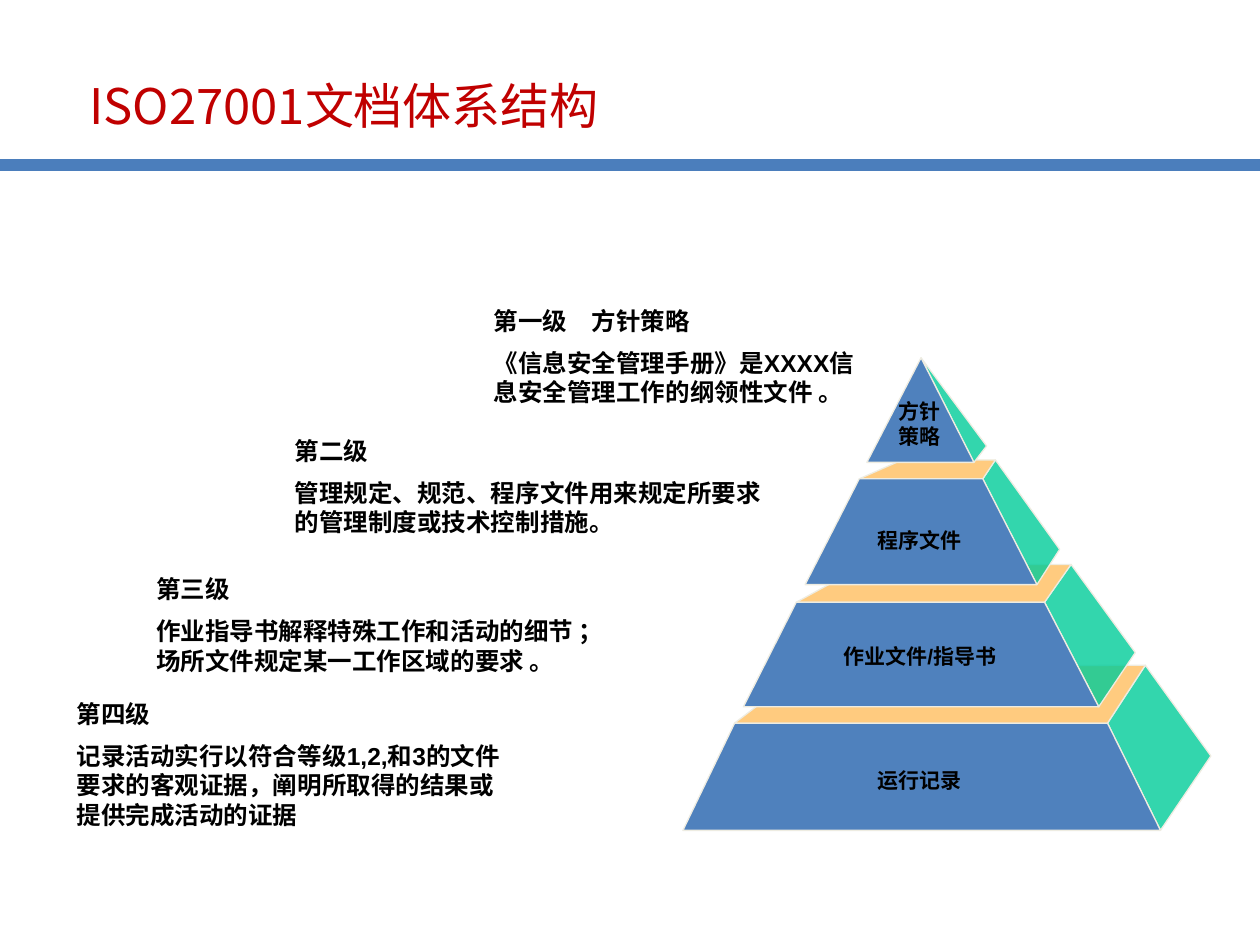
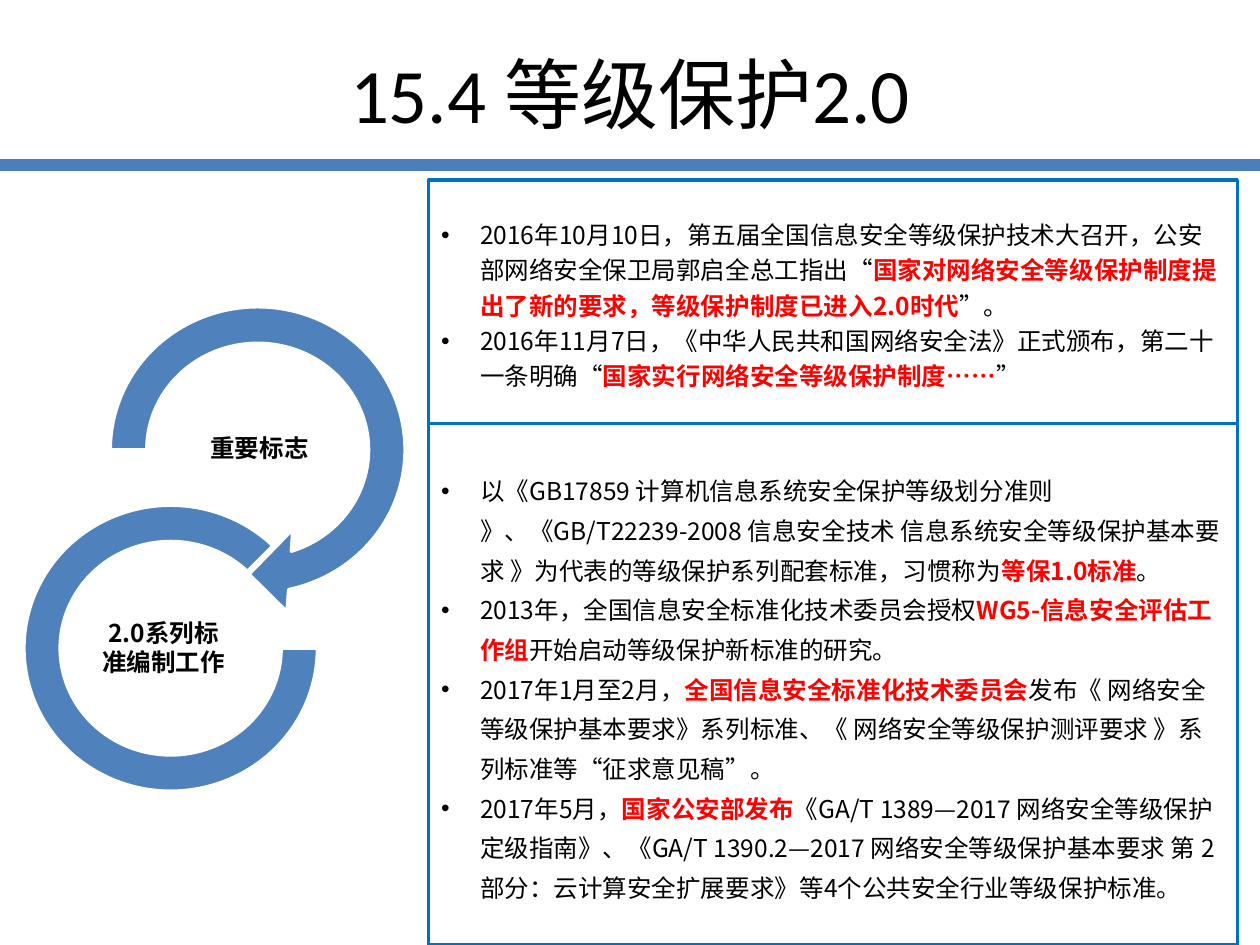
from dataclasses import dataclass

from lxml.etree import SubElement
from pptx import Presentation
from pptx.dml.color import RGBColor
from pptx.enum.shapes import MSO_CONNECTOR, MSO_SHAPE
from pptx.enum.text import MSO_ANCHOR, MSO_AUTO_SIZE, PP_ALIGN
from pptx.oxml.ns import qn
from pptx.shapes.autoshape import Shape
from pptx.slide import Slide
from pptx.text.text import TextFrame, _Run
from pptx.util import Pt

PX = 9144
PAGE_WIDTH, PAGE_HEIGHT = 1000, 750
BAND_Y = 131

BLACK = RGBColor(0x00, 0x00, 0x00)
WHITE = RGBColor(0xFF, 0xFF, 0xFF)
BAND_BLUE = RGBColor(0x4B, 0x7E, 0xBC)
FRONT_BLUE = RGBColor(0x4F, 0x81, 0xBD)
FRAME_BLUE = RGBColor(0x00, 0x70, 0xC0)
SIDE_GREEN = RGBColor(0x00, 0xCC, 0x99)
LID_ORANGE = RGBColor(0xFF, 0x99, 0x00)
EDGE_CREAM = RGBColor(0xEE, 0xEC, 0xE1)
TITLE_RED = RGBColor(0xC0, 0x00, 0x00)
HIGHLIGHT_RED = RGBColor(0xFF, 0x00, 0x00)

HAN_FONT = "Noto Sans CJK SC"
LATIN_FONT = "Arial"
TITLE_FONT = "Calibri"

Point = tuple[int, int]


@dataclass(frozen=True)
class Area:
    left: int
    top: int
    width: int
    height: int

    def emu(self) -> tuple[int, int, int, int]:
        return self.left * PX, self.top * PX, self.width * PX, self.height * PX


@dataclass(frozen=True)
class TextStyle:
    size: int
    font: str = HAN_FONT
    color: RGBColor = BLACK
    bold: bool = False


@dataclass(frozen=True)
class Tier:
    label: str
    label_y: int
    front: tuple[Point, ...]
    back: tuple[Point, ...]
    far: Point


@dataclass(frozen=True)
class Level:
    area: Area
    heading: str
    description: str


@dataclass(frozen=True)
class BulletPanel:
    area: Area
    line_spacing: float
    bullets: tuple[tuple[str, ...], ...]


@dataclass(frozen=True)
class Ring:
    preset: MSO_SHAPE
    area: Area
    adjustments: tuple[float, ...]
    label: str
    label_area: Area


TIERS = (
    Tier("运行记录", 619, ((542, 659), (921, 659), (879, 574), (583, 574)),
         ((909, 528), (642, 529)), (961, 600)),
    Tier("作业文件/指导书", 521, ((590, 561), (872, 561), (829, 478), (632, 478)),
         ((850, 448), (687, 448)), (901, 518)),
    Tier("程序文件", 429, ((639, 464), (823, 464), (780, 380), (682, 380)),
         ((790, 365), (716, 365)), (841, 436)),
    Tier("方针\n策略", 336, ((688, 367), (773, 367), (731, 284)), (), (783, 354)),
)

LEVELS = (
    Level(Area(382, 238, 323, 91), "第一级　方针策略",
          "《信息安全管理手册》是XXXX信息安全管理工作的纲领性文件 。"),
    Level(Area(224, 341, 394, 91), "第二级",
          "管理规定、规范、程序文件用来规定所要求的管理制度或技术控制措施。"),
    Level(Area(114, 451, 394, 91), "第三级",
          "作业指导书解释特殊工作和活动的细节 ；场所文件规定某一工作区域的要求 。"),
    Level(Area(51, 550, 366, 115), "第四级",
          "记录活动实行以符合等级1,2,和3的文件要求的客观证据，阐明所取得的结果或提供完成活动的证据"),
)

PANELS = (
    BulletPanel(Area(340, 143, 642, 194), 1.2, (
        ("2016年10月10日，第五届全国信息安全等级保护技术大召开，公安部网络安全保卫局郭启全总工指出“",
         "国家对网络安全等级保护制度提出了新的要求，等级保护制度已进入2.0时代", "”。"),
        ("2016年11月7日，《中华人民共和国网络安全法》正式颁布，第二十一条明确“",
         "国家实行网络安全等级保护制度……", "”"),
    )),
    BulletPanel(Area(340, 336, 642, 414), 1.35, (
        ("以《GB17859 计算机信息系统安全保护等级划分准则 》、《GB/T22239-2008 信息安全技术 "
         "信息系统安全等级保护基本要求 》为代表的等级保护系列配套标准，习惯称为",
         "等保1.0标准", "。"),
        ("2013年，全国信息安全标准化技术委员会授权", "WG5-信息安全评估工作组",
         "开始启动等级保护新标准的研究。"),
        ("2017年1月至2月，", "全国信息安全标准化技术委员会",
         "发布《 网络安全等级保护基本要求》系列标准、《 网络安全等级保护测评要求 》系列标准等“征求意见稿”。"),
        ("2017年5月，", "国家公安部发布",
         "《GA/T 1389—2017 网络安全等级保护定级指南》、《GA/T 1390.2—2017 网络安全等级保护基本要求 "
         "第 2 部分：云计算安全扩展要求》等4个公共安全行业等级保护标准。"),
    )),
)

RINGS = (
    Ring(MSO_SHAPE.CIRCULAR_ARROW, Area(69, 225, 271, 264), (0.11, 11.423, 45, 108, 0.125),
         "重要标志", Area(122, 329, 168, 53)),
    Ring(MSO_SHAPE.BLOCK_ARC, Area(19, 401, 233, 227), (0, 189, 0.127),
         "2.0系列标准编制工作", Area(77, 487, 106, 53)),
)


def style_span(span: _Run, style: TextStyle) -> None:
    span.font.size = Pt(style.size)
    span.font.bold = style.bold
    span.font.color.rgb = style.color
    span.font.name = style.font
    east_asian = HAN_FONT if style.font == LATIN_FONT else style.font
    SubElement(span.font._element, qn("a:ea")).set("typeface", east_asian)


def style_frame(frame: TextFrame, style: TextStyle, align: PP_ALIGN) -> None:
    for para in frame.paragraphs:
        para.alignment = align
        for span in para.runs:
            style_span(span, style)


def place(shape: Shape, area: Area) -> None:
    shape.left, shape.top, shape.width, shape.height = area.emu()


def paint(shape: Shape, fill: RGBColor, line: RGBColor, line_width: float) -> None:
    shape.shadow.inherit = False
    shape.fill.solid()
    shape.fill.fore_color.rgb = fill
    shape.line.color.rgb = line
    shape.line.width = Pt(line_width)


def add_page(deck: Presentation, layout_name: str, title: str, area: Area,
             style: TextStyle, align: PP_ALIGN) -> Slide:
    page = deck.slides.add_slide(deck.slide_layouts.get_by_name(layout_name))
    band = page.shapes.add_connector(
        MSO_CONNECTOR.STRAIGHT, 0, BAND_Y * PX, PAGE_WIDTH * PX, BAND_Y * PX)
    band.line.color.rgb = BAND_BLUE
    band.line.width = Pt(7)
    SubElement(band._element.spPr, qn("a:effectLst"))
    heading = page.shapes.title
    place(heading, area)
    frame = heading.text_frame
    frame.text = title
    frame.auto_size = MSO_AUTO_SIZE.NONE
    frame.vertical_anchor = MSO_ANCHOR.MIDDLE
    style_frame(frame, style, align)
    return page


def add_label(page: Slide, area: Area, text: str, style: TextStyle) -> None:
    frame = page.shapes.add_textbox(*area.emu()).text_frame
    frame.text = text
    frame.word_wrap = True
    frame.vertical_anchor = MSO_ANCHOR.MIDDLE
    frame.margin_left = frame.margin_right = frame.margin_top = frame.margin_bottom = 0
    style_frame(frame, style, PP_ALIGN.CENTER)


def add_face(page: Slide, points: tuple[Point, ...], fill: RGBColor, opacity: int = 100) -> None:
    builder = page.shapes.build_freeform(*points[0], scale=PX)
    builder.add_line_segments(points[1:], close=True)
    face = builder.convert_to_shape()
    paint(face, fill, EDGE_CREAM, 0.75)
    if opacity < 100:
        color = face._element.spPr.find(qn("a:solidFill")).find(qn("a:srgbClr"))
        SubElement(color, qn("a:alpha")).set("val", str(opacity * 1000))


def add_tier(page: Slide, tier: Tier) -> None:
    add_face(page, tier.front[1:3] + tier.back[:1] + (tier.far,), SIDE_GREEN, 80)
    if tier.back:
        add_face(page, tier.front[2:] + tier.back[::-1], LID_ORANGE, 50)
    add_face(page, tier.front, FRONT_BLUE)


def add_tier_label(page: Slide, tier: Tier) -> None:
    height = 20 * len(tier.label.split("\n"))
    area = Area(630, tier.label_y - height // 2, 200, height)
    add_label(page, area, tier.label, TextStyle(12, LATIN_FONT, bold=True))


def add_level(page: Slide, level: Level) -> None:
    frame = page.shapes.add_textbox(*level.area.emu()).text_frame
    frame.word_wrap = True
    frame.text = level.heading
    description = frame.add_paragraph()
    description.text = level.description
    description.space_before = Pt(7)
    style_frame(frame, TextStyle(14, LATIN_FONT, bold=True), PP_ALIGN.LEFT)


def fill_panel(box: Shape, panel: BulletPanel) -> None:
    place(box, panel.area)
    paint(box, WHITE, FRAME_BLUE, 2)
    frame = box.text_frame
    frame.auto_size = MSO_AUTO_SIZE.NONE
    frame.vertical_anchor = MSO_ANCHOR.MIDDLE
    for index, bullet in enumerate(panel.bullets):
        para = frame.add_paragraph() if index else frame.paragraphs[0]
        properties = para._p.get_or_add_pPr()
        properties.set("marL", str(31 * PX))
        properties.set("indent", str(-31 * PX))
        para.space_before = Pt(0)
        para.line_spacing = panel.line_spacing
        for position, text in enumerate(bullet):
            span = para.add_run()
            span.text = text
            highlighted = position % 2 == 1
            color = HIGHLIGHT_RED if highlighted else BLACK
            style_span(span, TextStyle(14, color=color, bold=highlighted))


def add_ring(page: Slide, ring: Ring) -> None:
    shape = page.shapes.add_shape(ring.preset, *ring.area.emu())
    for index, value in enumerate(ring.adjustments):
        shape.adjustments[index] = value
    paint(shape, FRONT_BLUE, WHITE, 2)
    add_label(page, ring.label_area, ring.label, TextStyle(14, bold=True))


def build_pyramid_page(deck: Presentation) -> None:
    page = add_page(deck, "Title Only", "ISO27001文档体系结构", Area(61, 45, 900, 76),
                    TextStyle(28, color=TITLE_RED), PP_ALIGN.LEFT)
    for tier in TIERS:
        add_tier(page, tier)
    for tier in TIERS:
        add_tier_label(page, tier)
    for level in LEVELS:
        add_level(page, level)


def build_protection_page(deck: Presentation) -> None:
    page = add_page(deck, "Two Content", "15.4 等级保护2.0", Area(50, 35, 900, 77),
                    TextStyle(44, TITLE_FONT), PP_ALIGN.CENTER)
    for index, panel in enumerate(PANELS, start=1):
        fill_panel(page.placeholders[index], panel)
    for ring in RINGS:
        add_ring(page, ring)


def main() -> None:
    deck = Presentation()
    deck.slide_width = PAGE_WIDTH * PX
    deck.slide_height = PAGE_HEIGHT * PX
    build_pyramid_page(deck)
    build_protection_page(deck)
    deck.save("out.pptx")


if __name__ == "__main__":
    main()
